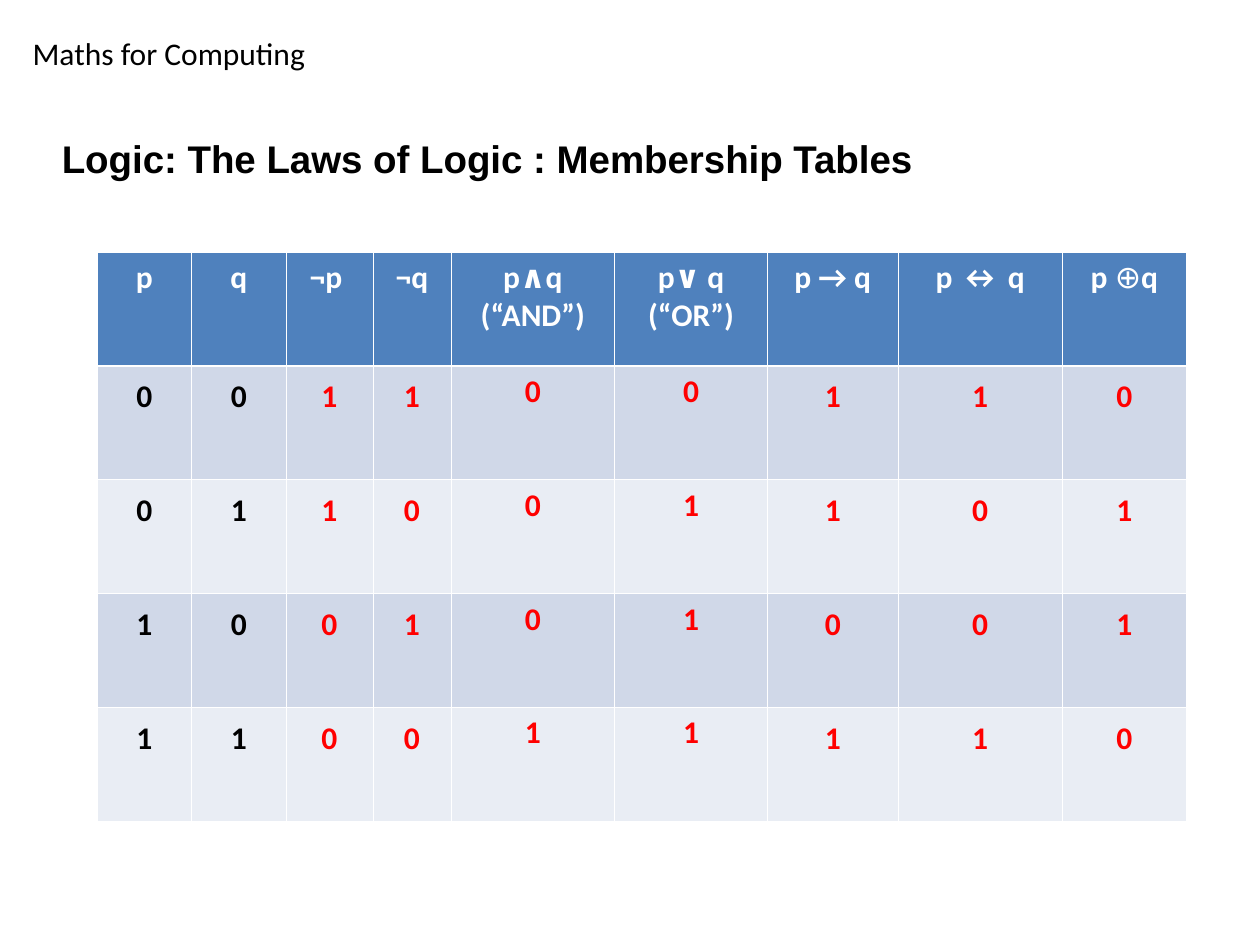
from itertools import groupby, product

from lxml import etree
from pptx import Presentation
from pptx.dml.color import RGBColor
from pptx.enum.text import MSO_ANCHOR, MSO_AUTO_SIZE, PP_ALIGN
from pptx.oxml.ns import qn
from pptx.util import Inches, Pt

LEFT, CENTER = PP_ALIGN.LEFT, PP_ALIGN.CENTER
TOP, FIXED = MSO_ANCHOR.TOP, MSO_AUTO_SIZE.NONE
BLACK = RGBColor(0x00, 0x00, 0x00)
WHITE = RGBColor(0xFF, 0xFF, 0xFF)
RED = RGBColor(0xFF, 0x00, 0x00)
BLUE = RGBColor(0x4F, 0x81, 0xBD)
BANDS = RGBColor(0xD0, 0xD8, 0xE8), RGBColor(0xE9, 0xED, 0xF4)
THIN, THICK = 0.45, 1.47
WIDTHS = 0.75, 0.75, 0.69, 0.62, 1.3, 1.21, 1.04, 1.3, 0.99
HEADS = ("p", "q", "¬p ", "¬q", "p∧q\n(“AND”)", "p∨ q\n(“OR”)",
         "p → q", "p ↔ q", "p ⊕q")
ROWS = 5
HIGH = 4.52
INPUTS = 2
NARROW = 4
TIGHT = 4, 5


def write(frame, text, size=18, font="Calibri", color=BLACK, bold=True,
          align=LEFT, line=1.0, after=0):
    """Fill a text frame, one paragraph a line, with the sum sign never bold."""
    frame.word_wrap = True
    for i, words in enumerate(text.split("\n")):
        para = frame.add_paragraph() if i else frame.paragraphs[0]
        para.alignment, para.line_spacing = align, line
        para.space_before, para.space_after = Pt(0), Pt(after)
        for sign, chars in groupby(words, lambda c: c == "⊕"):
            run = para.add_run()
            run.text = "".join(chars)
            run.font.size, run.font.name = Pt(size), font
            run.font.bold = bold and not sign
            run.font.color.rgb = color


def edge(cell, side, width):
    """Draw one white border of a cell."""
    line = etree.SubElement(cell._tc.get_or_add_tcPr(), qn(f"a:ln{side}"),
                            w=str(Pt(width)))
    fill = etree.SubElement(line, qn("a:solidFill"))
    etree.SubElement(fill, qn("a:srgbClr"), val=str(WHITE))


def style(cell, fill, top, bottom, side):
    """Set the borders, fill and side margins of a cell."""
    for name, width in zip("LRTB", (THIN, THIN, top, bottom)):
        edge(cell, name, width)
    cell.fill.solid()
    cell.fill.fore_color.rgb = fill
    cell.margin_left = cell.margin_right = Inches(side)


def values():
    """Work out the rows of the truth table."""
    return [(p, q, 1 - p, 1 - q, p & q, p | q, (1 - p) | q, int(p == q), p ^ q)
            for p, q in product((0, 1), repeat=INPUTS)]


def add_grid(slide):
    """Add the membership table."""
    grid = slide.shapes.add_table(ROWS, len(WIDTHS), Inches(0.77), Inches(2),
                                  Inches(sum(WIDTHS)), Inches(HIGH)).table
    for col, width in zip(grid.columns, WIDTHS):
        col.width = Inches(width)
    for c, head in enumerate(HEADS):
        cell = grid.cell(0, c)
        style(cell, BLUE, THIN, THICK, 0.1)
        write(cell.text_frame, head, color=WHITE, align=CENTER)
    for r, row in enumerate(values(), 1):
        for c, bit in enumerate(row):
            cell = grid.cell(r, c)
            style(cell, BANDS[(r - 1) % 2], THICK if r == 1 else THIN, THIN,
                  0.08 if c < NARROW else 0.1)
            space = {} if c in TIGHT else {"line": 1.15, "after": 8}
            write(cell.text_frame, str(bit), align=CENTER,
                  color=BLACK if c < INPUTS else RED, **space)


def add_title(slide, text):
    """Place and fill the title."""
    title = slide.shapes.title
    title.left, title.top = Inches(0.39), Inches(1.02)
    title.width, title.height = Inches(8.12), Inches(0.43)
    frame = title.text_frame
    frame.auto_size, frame.vertical_anchor = FIXED, TOP
    write(frame, text, size=22, font="Arial")


def add_course(slide, text):
    """Add the course name at the top."""
    box = slide.shapes.add_textbox(Inches(0.16), Inches(0.22),
                                   Inches(6.91), Inches(0.4))
    write(box.text_frame, text, bold=False)


def main():
    """Build and save the slide."""
    deck = Presentation()
    deck.slide_width, deck.slide_height = Inches(10), Inches(7.5)
    slide = deck.slides.add_slide(deck.slide_layouts[5])
    add_course(slide, "Maths for Computing")
    add_title(slide, "Logic: The Laws of Logic : Membership Tables")
    add_grid(slide)
    deck.save("out.pptx")


if __name__ == "__main__":
    main()
